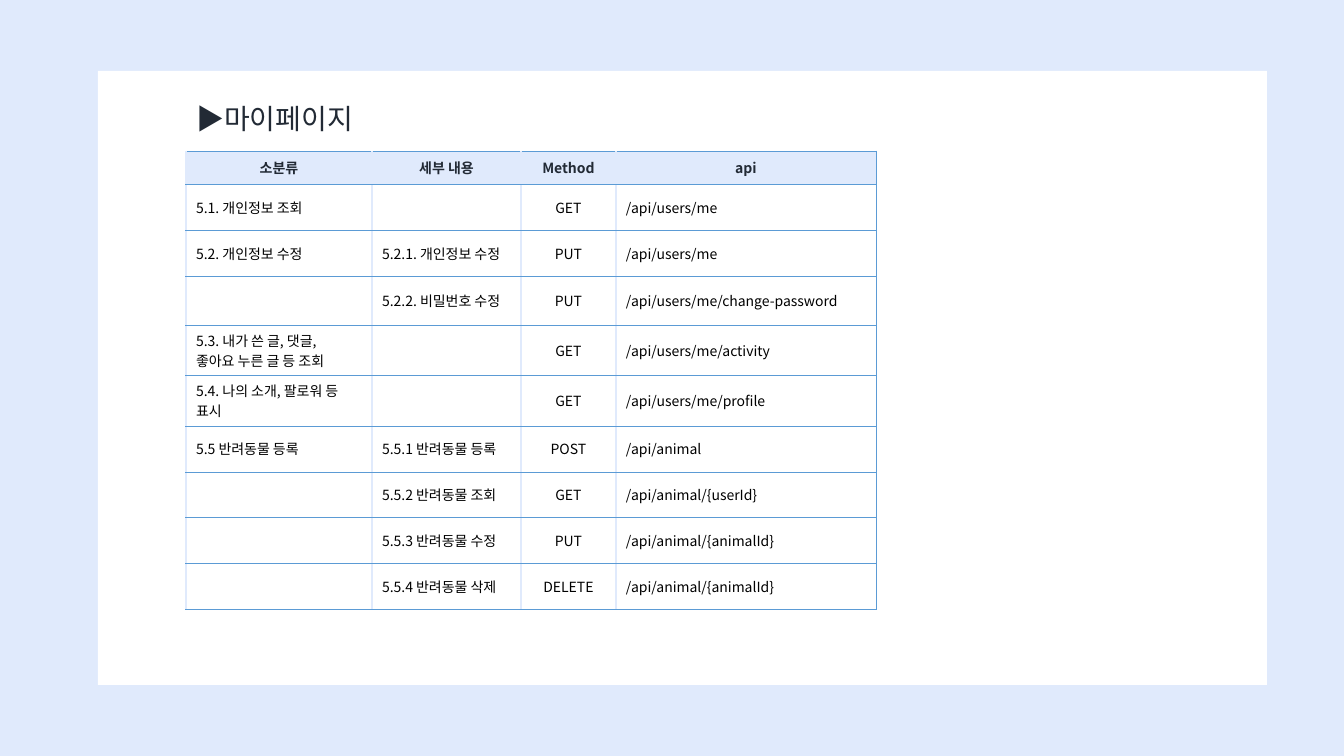
import pptx
import pptx.util
import pptx.dml.color
import pptx.enum.shapes
import pptx.enum.text
import pptx.oxml
import pptx.oxml.ns
from dataclasses import dataclass

TITLE = "▶마이페이지"
HEADER = ("소분류", "세부 내용", "Method", "api")
ENDPOINTS = [
    ("5.1. 개인정보 조회", "", "GET", "/api/users/me"),
    ("5.2. 개인정보 수정", "5.2.1. 개인정보 수정", "PUT", "/api/users/me"),
    ("", "5.2.2. 비밀번호 수정", "PUT", "/api/users/me/change-password"),
    ("5.3. 내가 쓴 글, 댓글,\n좋아요 누른 글 등 조회", "", "GET", "/api/users/me/activity"),
    ("5.4. 나의 소개, 팔로워 등 표시", "", "GET", "/api/users/me/profile"),
    ("5.5 반려동물 등록", "5.5.1 반려동물 등록", "POST", "/api/animal"),
    ("", "5.5.2 반려동물 조회", "GET", "/api/animal/{userId}"),
    ("", "5.5.3 반려동물 수정", "PUT", "/api/animal/{animalId}"),
    ("", "5.5.4 반려동물 삭제", "DELETE", "/api/animal/{animalId}"),
]
COLUMN_WIDTHS = (186, 149, 95, 260)
ROW_HEIGHTS = (33, 46, 46, 49, 50, 50, 46, 46, 46, 46)
PAGE_SIZE = (1344, 756)
PANEL = (98, 71, 1169, 614)
TITLE_AREA = (186, 96, 190, 44)
TABLE_ORIGIN = (186, 151)
METHOD_COLUMN = 2


@dataclass(frozen=True)
class Theme:
    font: str = "Noto Sans CJK KR"
    pale: str = "E0EAFC"
    white: str = "FFFFFF"
    rule: str = "5B9BD5"
    dark: str = "222A35"
    black: str = "000000"
    title_size: int = 20
    table_size: int = 10
    thin: float = 0.5
    thick: float = 1


THEME = Theme()
ALIGN = pptx.enum.text.PP_ALIGN
MIDDLE = pptx.enum.text.MSO_ANCHOR.MIDDLE


def px(*lengths):
    return [pptx.util.Emu(round(length * 914400 / 100.8)) for length in lengths]


def paint(fill, color):
    fill.solid()
    fill.fore_color.rgb = pptx.dml.color.RGBColor.from_string(color)


def style_text(frame, size, color, bold, align):
    for para in frame.paragraphs:
        para.alignment = align
        font = para.font
        font.size = pptx.util.Pt(size)
        font.bold = bold
        font.name = THEME.font
        paint(font.fill, color)
        properties = para._p.pPr.find(pptx.oxml.ns.qn("a:defRPr"))
        east_asian = properties.makeelement(pptx.oxml.ns.qn("a:ea"), {"typeface": THEME.font})
        properties.append(east_asian)


def border(cell, side, color, width):
    line = pptx.oxml.parse_xml(
        f'<a:{side} {pptx.oxml.ns.nsdecls("a")} w="{pptx.util.Pt(width)}">'
        f'<a:solidFill><a:srgbClr val="{color}"/></a:solidFill></a:{side}>'
    )
    cell._tc.get_or_add_tcPr().append(line)


def fill_cell(cell, text, is_header, column):
    cell.text = text
    cell.vertical_anchor = MIDDLE
    centred = is_header or column == METHOD_COLUMN
    style_text(
        cell.text_frame,
        THEME.table_size,
        THEME.dark if is_header else THEME.black,
        is_header,
        ALIGN.CENTER if centred else ALIGN.LEFT,
    )
    pale, rule = (THEME.pale, THEME.thick), (THEME.rule, THEME.thin)
    is_last = column == len(HEADER) - 1
    for side, line in (("lnL", pale), ("lnR", rule if is_last else pale), ("lnT", rule), ("lnB", rule)):
        border(cell, side, *line)
    paint(cell.fill, THEME.pale if is_header else THEME.white)


def add_panel(page):
    panel = page.shapes.add_shape(pptx.enum.shapes.MSO_SHAPE.RECTANGLE, *px(*PANEL))
    panel.shadow.inherit = False
    paint(panel.fill, THEME.white)
    panel.line.fill.background()
    page.shapes._spTree.insert(2, panel._element)


def set_title(page):
    box = page.shapes.title
    box.left, box.top, box.width, box.height = px(*TITLE_AREA)
    frame = box.text_frame
    frame.text = TITLE
    frame.word_wrap = False
    frame.auto_size = pptx.enum.text.MSO_AUTO_SIZE.NONE
    frame.vertical_anchor = MIDDLE
    style_text(frame, THEME.title_size, THEME.dark, False, ALIGN.LEFT)


def add_endpoint_table(page):
    rows = [HEADER, *ENDPOINTS]
    area = px(*TABLE_ORIGIN, sum(COLUMN_WIDTHS), sum(ROW_HEIGHTS))
    table = page.shapes.add_table(len(rows), len(HEADER), *area).table
    table.first_row = table.horz_banding = False
    for column, width in zip(table.columns, px(*COLUMN_WIDTHS)):
        column.width = width
    for row, height in zip(table.rows, px(*ROW_HEIGHTS)):
        row.height = height
    for row_index, texts in enumerate(rows):
        for column_index, text in enumerate(texts):
            fill_cell(table.cell(row_index, column_index), text, row_index == 0, column_index)


def main():
    deck = pptx.Presentation()
    deck.slide_width, deck.slide_height = px(*PAGE_SIZE)
    page = deck.slides.add_slide(deck.slide_layouts[5])
    paint(page.background.fill, THEME.pale)
    set_title(page)
    add_panel(page)
    add_endpoint_table(page)
    deck.save("out.pptx")


if __name__ == "__main__":
    main()
